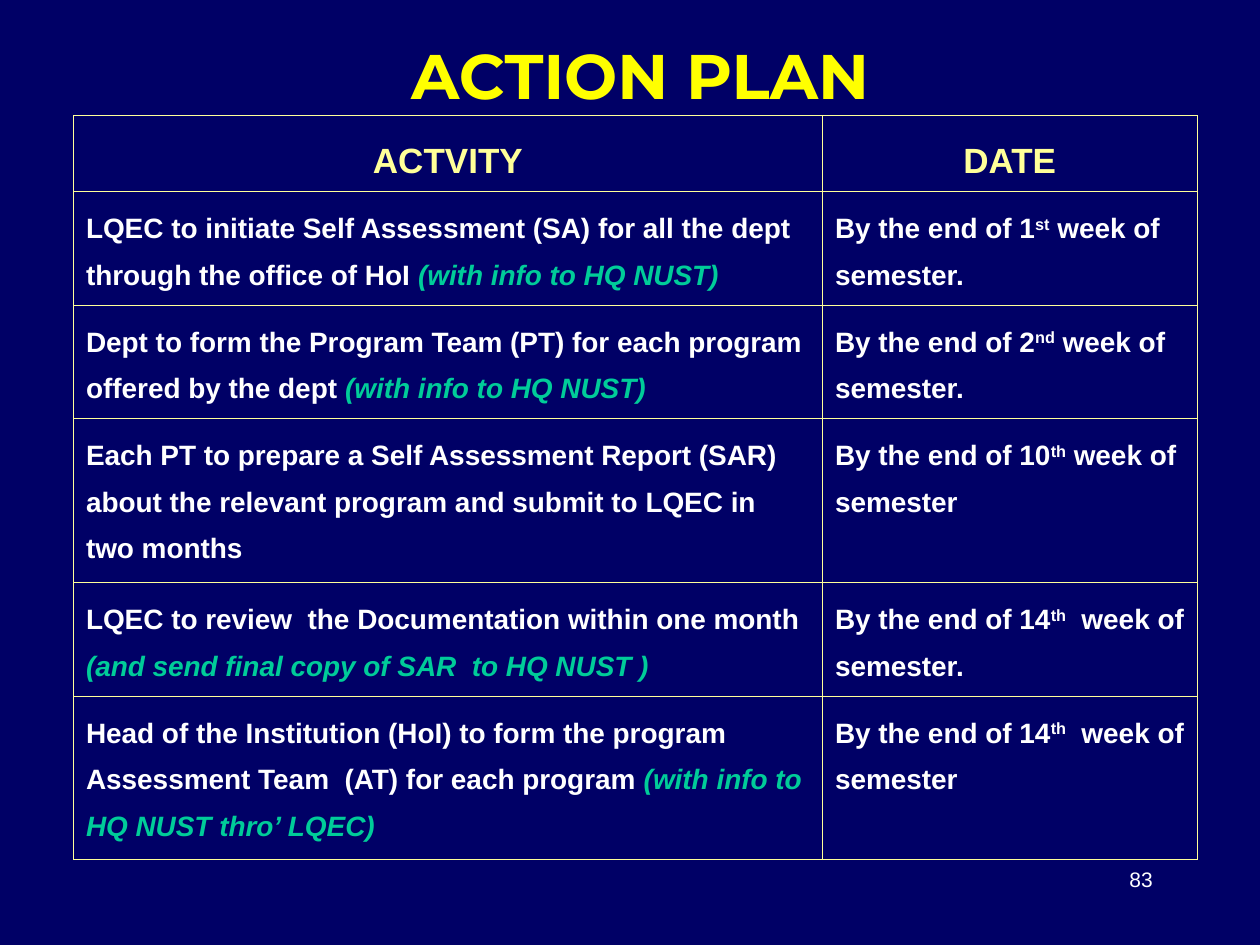
import pptx
import pptx.dml.color
import pptx.enum.text
import pptx.oxml
import pptx.oxml.ns
import pptx.util
from pptx.util import Cm, Pt

ALIGN = pptx.enum.text.PP_ALIGN
NAVY, WHITE, CREAM = "000066", "FFFFFF", "FFFF99"
YELLOW, GREEN = "FFFF00", "00CC99"

HEADS = ["ACTVITY", "DATE"]
# activity, green note, week number, ordinal ending, rest of the date, row height
PLAN = [
    ("LQEC to initiate Self Assessment (SA) for all the dept through the office of HoI ",
     "(with info to HQ NUST)", "1", "st", " week of semester.", 2.29),
    ("Dept to form the Program Team (PT) for each program offered by the dept ",
     "(with info to HQ NUST)", "2", "nd", " week of semester.", 2.29),
    ("Each PT to prepare a Self Assessment Report (SAR) about the relevant program "
     "and submit to LQEC in two months",
     "", "10", "th", " week of semester", 3.3),
    ("LQEC to review  the Documentation within one month ",
     "(and send final copy of SAR  to HQ NUST )", "14", "th", "  week of semester.", 2.29),
    ("Head of the Institution (HoI) to form the program Assessment Team  (AT) "
     "for each program ",
     "(with info to HQ NUST thro’ LQEC)", "14", "th", "  week of semester", 3.3),
]


def rgb(code):
    return pptx.dml.color.RGBColor.from_string(code)


def style(run, size, color, bold=True, name="Arial"):
    font = run.font
    font.name, font.size, font.bold = name, Pt(size), bold
    font.color.rgb = rgb(color)


def add_run(para, text, size=16, color=WHITE):
    run = para.add_run()
    run.text = text
    style(run, size, color)
    return run


def frame(cell):
    """Give a cell thin borders and no fill."""
    props = cell._tc.get_or_add_tcPr()
    for side in ("lnL", "lnR", "lnT", "lnB"):
        props.append(pptx.oxml.parse_xml(
            f'<a:{side} {pptx.oxml.ns.nsdecls("a")} w="{Pt(0.45)}">'
            f'<a:solidFill><a:srgbClr val="{CREAM}"/></a:solidFill></a:{side}>'))
    cell.fill.background()


def add_title(slide, left, top, width, height):
    title = slide.shapes.title
    title.left, title.top, title.width, title.height = left, top, width, height
    text = title.text_frame
    text.text = "ACTION PLAN"
    text.vertical_anchor = pptx.enum.text.MSO_ANCHOR.MIDDLE
    para = text.paragraphs[0]
    para.alignment = ALIGN.CENTER
    style(para.runs[0], 36, YELLOW, name="Montserrat")


def add_plan(slide, left, top, width, height):
    table = slide.shapes.add_table(
        len(PLAN) + 1, len(HEADS), left, top, width, height).table
    table.first_row = table.horz_banding = False
    table.columns[0].width = int(width * 2 / 3)
    table.columns[1].width = int(width / 3)
    for cell in table.iter_cells():
        frame(cell)
        cell.text_frame.paragraphs[0].line_spacing = 1.5

    table.rows[0].height = Cm(1.53)
    for col, head in enumerate(HEADS):
        para = table.cell(0, col).text_frame.paragraphs[0]
        para.alignment = ALIGN.CENTER
        add_run(para, head, 20, CREAM)

    for row, (task, note, day, suffix, rest, tall) in enumerate(PLAN, 1):
        table.rows[row].height = Cm(tall)
        para = table.cell(row, 0).text_frame.paragraphs[0]
        add_run(para, task)
        if note:
            add_run(para, note, color=GREEN).font.italic = True
        para = table.cell(row, 1).text_frame.paragraphs[0]
        add_run(para, "By the end of " + day)
        raised = add_run(para, suffix)
        raised._r.get_or_add_rPr().set("baseline", "30000")
        add_run(para, rest)


def add_number(slide, left, top, width, height):
    text = slide.shapes.add_textbox(left, top, width, height).text_frame
    text.word_wrap = True
    text.text = "83"
    para = text.paragraphs[0]
    para.alignment = ALIGN.RIGHT
    style(para.runs[0], 12, WHITE, bold=False)


def main():
    deck = pptx.Presentation()
    deck.slide_width, deck.slide_height = Cm(25.4), Cm(19.05)
    slide = deck.slides.add_slide(deck.slide_layouts[5])
    fill = slide.background.fill
    fill.solid()
    fill.fore_color.rgb = rgb(NAVY)
    add_title(slide, Cm(2.11), Cm(0.64), Cm(21.59), Cm(1.7))
    add_plan(slide, Cm(1.48), Cm(2.33), Cm(22.65), Cm(15))
    add_number(slide, Cm(18.2), Cm(17.35), Cm(5.29), Cm(1.27))
    deck.save("out.pptx")


if __name__ == "__main__":
    main()
